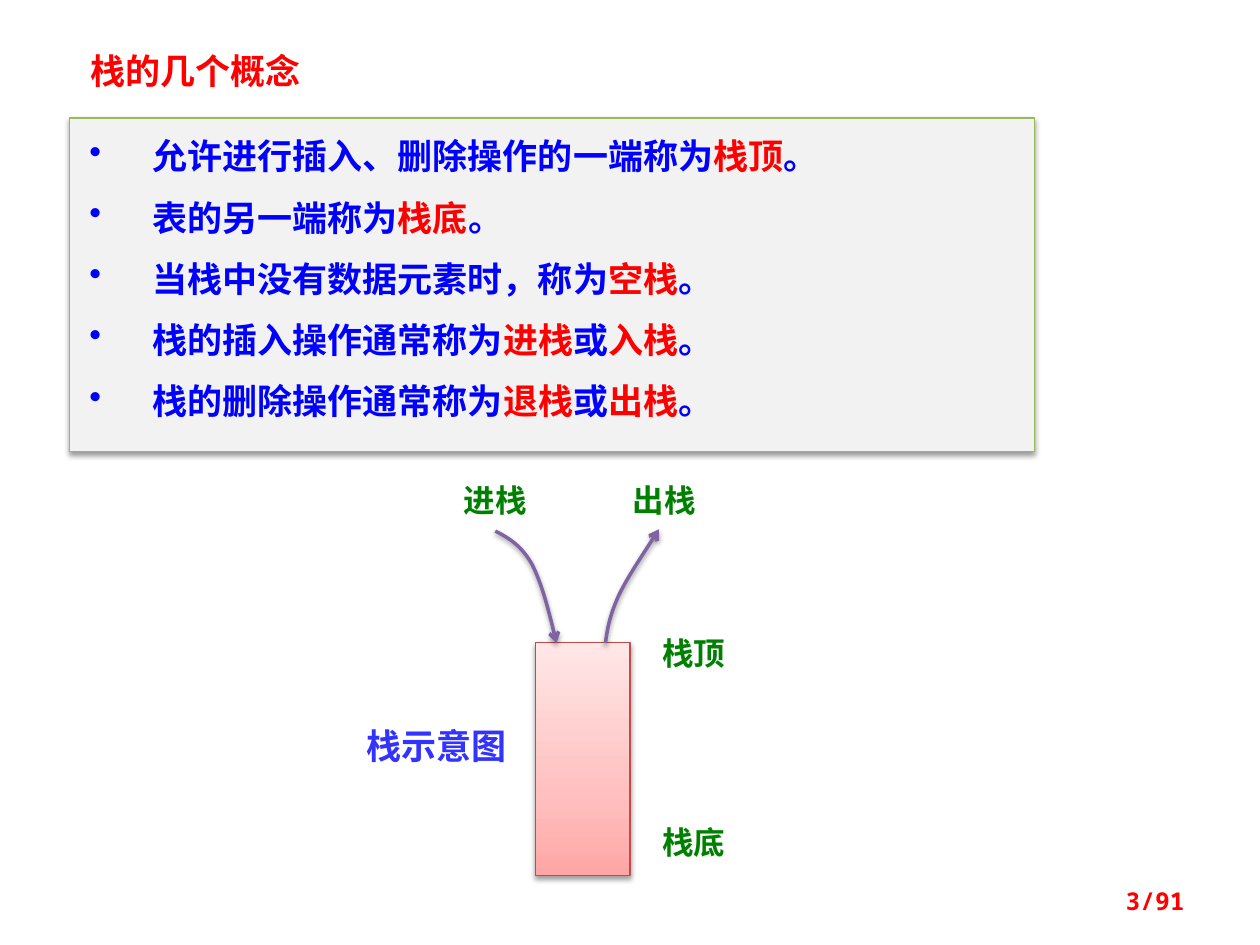
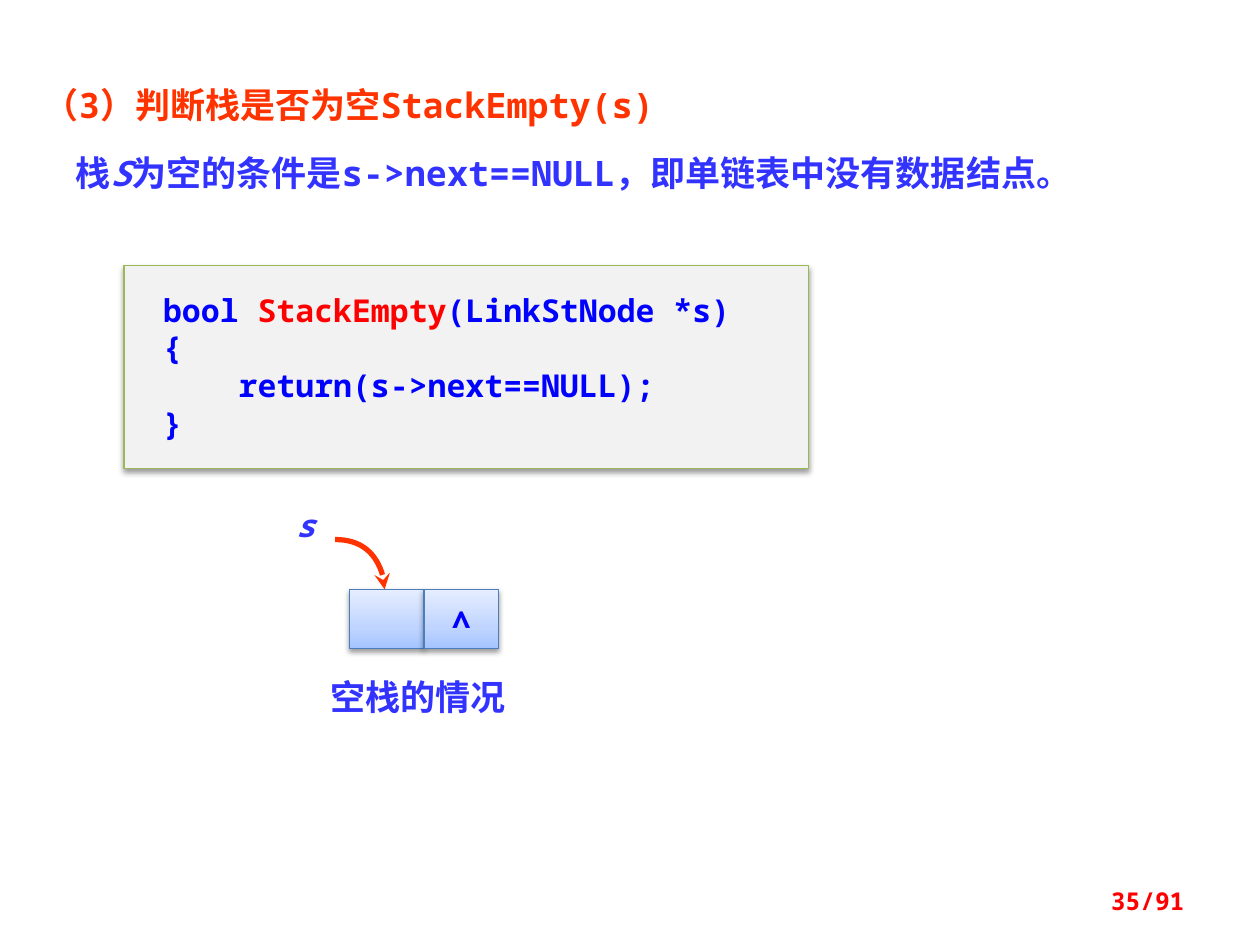
from dataclasses import dataclass

from lxml.etree import SubElement
from pptx import Presentation
from pptx.dml.color import RGBColor
from pptx.enum.shapes import MSO_SHAPE
from pptx.enum.text import MSO_ANCHOR, PP_ALIGN
from pptx.oxml.ns import qn
from pptx.shapes.autoshape import Shape
from pptx.slide import Slide
from pptx.util import Pt

SANS, MONO = "Noto Sans CJK SC", "Noto Sans Mono"
RED, BLUE, GREEN = "FF0000", "0000FF", "008000"
INDIGO, ORANGE, PURPLE = "3333FF", "FF3300", "8064A2"
PANEL, OLIVE = "F2F2F2", "98B955"
PINKS, BRICK = ("FFA6A5", "FFC0BF", "FFE7E7"), "BF4C48"
BLUES, STEEL = ("A4C4FF", "BFD4FF", "E6EEFF"), "4B7EBC"
STOPS = (0, 35, 100)
TOTAL = 91

Point = tuple[float, float]


@dataclass(frozen=True)
class Box:
    left: float
    top: float
    width: float
    height: float


@dataclass(frozen=True)
class Run:
    text: str
    color: str = BLUE
    slant: bool = False


@dataclass(frozen=True)
class Style:
    font: str = SANS
    size: float = 18
    align: PP_ALIGN = PP_ALIGN.LEFT
    anchor: MSO_ANCHOR = MSO_ANCHOR.TOP
    inset: tuple[float, float, float, float] = (7.2, 3.6, 7.2, 3.6)
    lead: Pt | float | None = None
    before: float = 0
    bullet: str = ""
    wrap: bool = True


@dataclass(frozen=True)
class Para:
    runs: list[Run]
    margin: float = 0
    indent: float = 0


@dataclass(frozen=True)
class Label:
    text: str
    box: Box
    color: str
    style: Style = Style()
    slant: bool = False


@dataclass(frozen=True)
class Arrow:
    points: list[Point]
    color: str
    weight: float
    head: str
    shaded: bool


NOTE = Style(size=20)
MID = Style(size=20, align=PP_ALIGN.CENTER)
LIST = Style(MONO, 20, inset=(11.5, 8.6, 7.2, 8.6), lead=Pt(25), before=10, bullet="•")
HEAD = Style(MONO, 20, lead=1.2, before=10)
CODE = Style(MONO, inset=(22.3, 14.4, 22.3, 14.4))
CELL = Style(MONO, align=PP_ALIGN.CENTER, anchor=MSO_ANCHOR.MIDDLE, wrap=False)
NAME = Style(MONO, align=PP_ALIGN.CENTER)
PAGE = Style(MONO, 14, PP_ALIGN.RIGHT, MSO_ANCHOR.MIDDLE)


def paint(code: str) -> RGBColor:
    return RGBColor.from_string(code)


def place(box: Box) -> tuple[Pt, Pt, Pt, Pt]:
    return Pt(box.left), Pt(box.top), Pt(box.width), Pt(box.height)


def write(shape: Shape, paras: list[Para], style: Style) -> None:
    frame = shape.text_frame
    frame.word_wrap = style.wrap
    frame.vertical_anchor = style.anchor
    (frame.margin_left, frame.margin_top,
     frame.margin_right, frame.margin_bottom) = map(Pt, style.inset)
    for i, para in enumerate(paras):
        line = frame.add_paragraph() if i else frame.paragraphs[0]
        line.alignment = style.align
        line.line_spacing = style.lead
        line.space_before = Pt(style.before)
        props = line._p.get_or_add_pPr()
        props.set("marL", str(Pt(para.margin)))
        props.set("indent", str(Pt(para.indent)))
        if style.bullet:
            SubElement(props, qn("a:buChar"), char=style.bullet)
        for part in para.runs:
            run = line.add_run()
            run.text = part.text
            font = run.font
            font.name, font.size, font.bold = style.font, Pt(style.size), True
            font.italic = part.slant
            font.color.rgb = paint(part.color)
            SubElement(run._r.get_or_add_rPr(), qn("a:ea"), typeface=style.font)


def add_text(slide: Slide, box: Box, paras: list[Para], style: Style) -> None:
    write(slide.shapes.add_textbox(*place(box)), paras, style)


def add_label(slide: Slide, label: Label) -> None:
    run = Run(label.text, label.color, label.slant)
    add_text(slide, label.box, [Para([run])], label.style)


def shade(shape: Shape) -> None:
    """Give the shape a soft shadow that falls straight down."""
    shape.shadow.inherit = False
    effects = shape._element.spPr.find(qn("a:effectLst"))
    drop = SubElement(effects, qn("a:outerShdw"), blurRad=str(Pt(3.1)),
                      dist=str(Pt(1.6)), dir="5400000", rotWithShape="0")
    tint = SubElement(drop, qn("a:srgbClr"), val="000000")
    SubElement(tint, qn("a:alpha"), val="38000")


def blend(shape: Shape, colors: tuple[str, ...]) -> None:
    """Fill the shape with a gradient that runs from bottom to top."""
    shape.fill.gradient()
    shape.fill.gradient_angle = 90
    stops = shape._element.spPr.find(qn("a:gradFill")).find(qn("a:gsLst"))
    stops.clear()
    for share, color in zip(STOPS, colors):
        stop = SubElement(stops, qn("a:gs"), pos=str(share * 1000))
        SubElement(stop, qn("a:srgbClr"), val=color)


def add_block(slide: Slide, box: Box, edge: str) -> Shape:
    shape = slide.shapes.add_shape(MSO_SHAPE.RECTANGLE, *place(box))
    shape.line.color.rgb = paint(edge)
    shape.line.width = Pt(0.75)
    shade(shape)
    return shape


def add_panel(slide: Slide, box: Box, paras: list[Para], style: Style) -> None:
    shape = add_block(slide, box, OLIVE)
    shape.fill.solid()
    shape.fill.fore_color.rgb = paint(PANEL)
    write(shape, paras, style)


def add_arrow(slide: Slide, arrow: Arrow) -> None:
    """Draw a start point and Bezier triples as one curve with a head."""
    start, *rest = [(Pt(x), Pt(y)) for x, y in arrow.points]
    pen = slide.shapes.build_freeform(*start)
    pen.add_line_segments(rest, close=False)
    shape = pen.convert_to_shape()
    route = shape._element.spPr.find(".//" + qn("a:path"))
    steps = route.findall(qn("a:lnTo"))
    for i in range(0, len(steps), 3):
        curve = SubElement(route, qn("a:cubicBezTo"))
        for step in steps[i:i + 3]:
            curve.append(step[0])
            route.remove(step)
    shape.fill.background()
    shape.line.color.rgb = paint(arrow.color)
    shape.line.width = Pt(arrow.weight)
    SubElement(shape._element.spPr.find(qn("a:ln")), qn("a:tailEnd"), type=arrow.head)
    if arrow.shaded:
        shade(shape)
    else:
        shape.shadow.inherit = False


def add_page(slide: Slide, page: int) -> None:
    add_label(slide, Label(f"{page}/{TOTAL}", Box(516, 500.4, 168, 28.8), RED, PAGE))


def draw_terms(slide: Slide) -> None:
    terms = [
        ("允许进行插入、删除操作的一端称为", "栈顶", "。"),
        ("表的另一端称为", "栈底", "。"),
        ("当栈中没有数据元素时，称为", "空栈", "。"),
        ("栈的插入操作通常称为", "进栈", "或", "入栈", "。"),
        ("栈的删除操作通常称为", "退栈", "或", "出栈", "。"),
    ]
    paras = [Para([Run(text, RED if i % 2 else BLUE) for i, text in enumerate(term)], 36, -36)
             for term in terms]
    add_panel(slide, Box(39.6, 67.5, 551.5, 190.5), paras, LIST)
    blend(add_block(slide, Box(306, 367.2, 54, 133.2), BRICK), PINKS)
    for label in (
        Label("栈的几个概念", Box(44.6, 24.5, 174, 31.5), RED, NOTE),
        Label("栈顶", Box(371.5, 358.5, 56, 29), GREEN),
        Label("栈底", Box(371.5, 466.5, 56, 29), GREEN),
        Label("栈示意图", Box(202.3, 410.4, 106.5, 31.5), INDIGO, NOTE),
        Label("进栈", Box(257.8, 271.4, 52, 29), GREEN),
        Label("出栈", Box(354.5, 271.4, 62, 29), GREEN),
    ):
        add_label(slide, label)
    push = [(283, 303.5), (291, 307.5), (298, 312), (304, 322.5),
            (309.5, 333.5), (314, 350.5), (318, 367.5)]
    pop = [(346, 367.5), (347, 359.5), (348.5, 351.5), (353.5, 340.5),
           (358.5, 330), (368, 316), (376.5, 302.5)]
    for points in (push, pop):
        add_arrow(slide, Arrow(points, PURPLE, 2, "arrow", True))


def draw_empty(slide: Slide) -> None:
    add_text(slide, Box(18, 39.6, 666, 77.8), [
        Para([Run("（3）判断栈是否为空StackEmpty(s)", ORANGE)]),
        Para([Run("栈", INDIGO), Run("S", INDIGO, True),
              Run("为空的条件是s->next==NULL，即单链表中没有数据结点。", INDIGO)], indent=18),
    ], HEAD)
    add_panel(slide, Box(70.9, 151.7, 391, 116), [
        Para([Run("bool "), Run("StackEmpty", RED), Run("(LinkStNode *s)")]),
        Para([Run("{")]),
        Para([Run("return(s->next==NULL);")], margin=43.2),
        Para([Run("}")]),
    ], CODE)
    left, top, width, height = 199.6, 336.8, 42.7, 34
    for i, text in enumerate(("", "∧")):
        cell = add_block(slide, Box(left + i * width, top, width, height), STEEL)
        blend(cell, BLUES)
        if text:
            write(cell, [Para([Run(text)])], CELL)
    curve = [(191.5, 308.3), (207.2, 308.3), (219.8, 321), (219.8, top)]
    add_arrow(slide, Arrow(curve, ORANGE, 3, "stealth", False))
    add_label(slide, Label("s", Box(157.7, 285.8, 34, 29), INDIGO, NAME, True))
    add_label(slide, Label("空栈的情况", Box(174.2, 382.5, 129.6, 31.5), INDIGO, MID))


def main() -> None:
    deck = Presentation()
    deck.slide_width, deck.slide_height = Pt(720), Pt(540)
    for page, draw in ((3, draw_terms), (35, draw_empty)):
        slide = deck.slides.add_slide(deck.slide_layouts[6])
        draw(slide)
        add_page(slide, page)
    deck.save("out.pptx")


if __name__ == "__main__":
    main()
